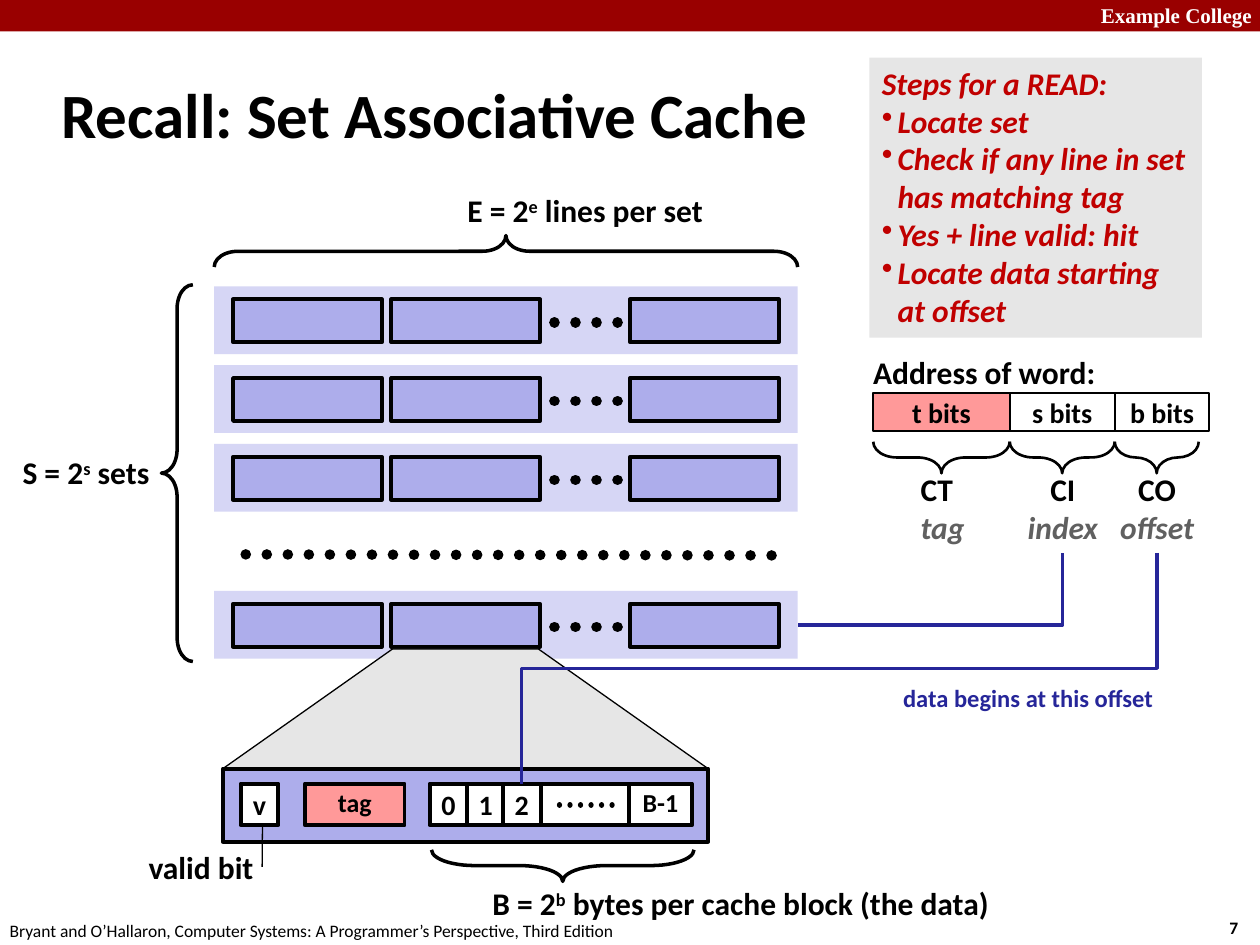
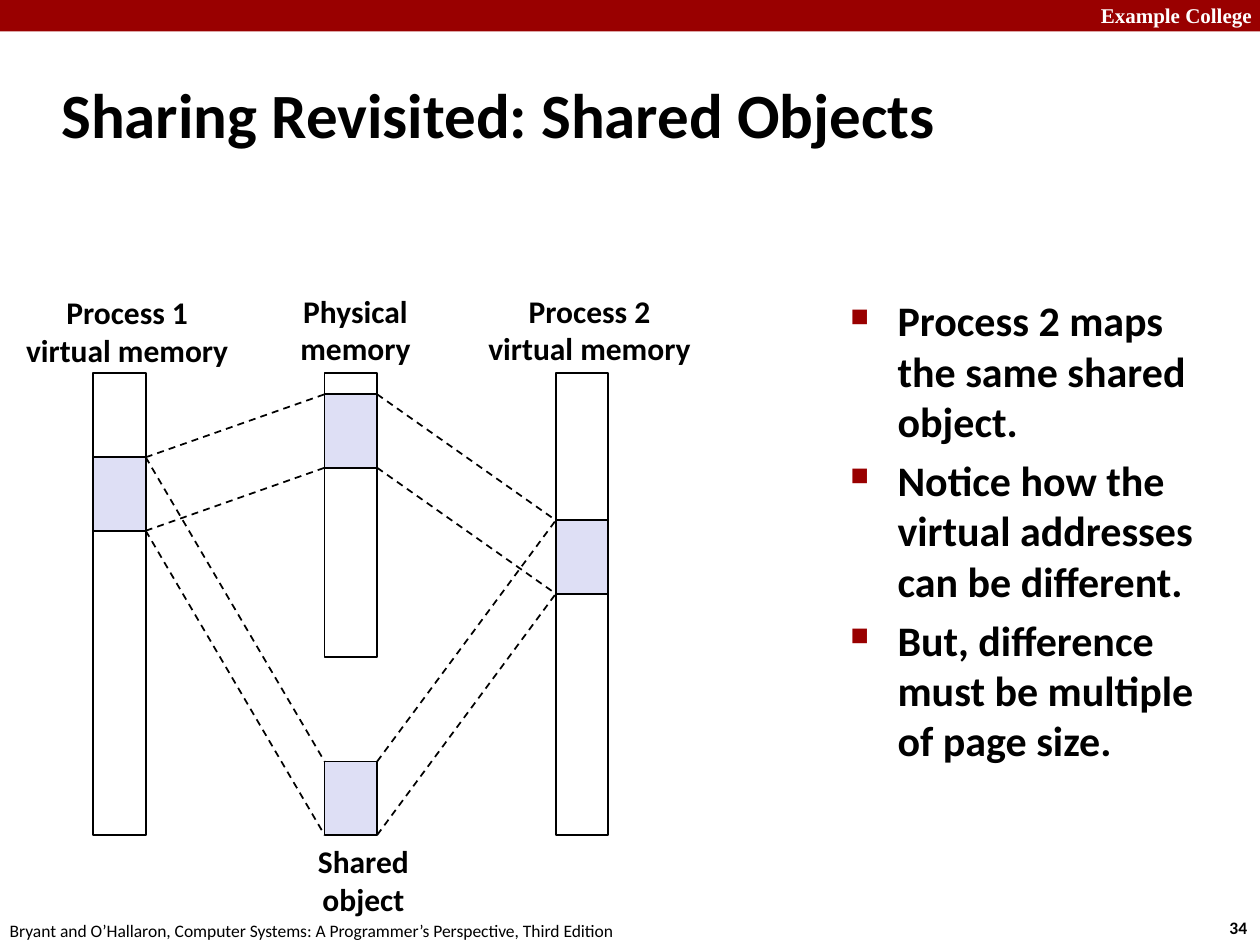
from dataclasses import dataclass
from typing import NamedTuple, Optional

from lxml.etree import SubElement
from pptx import Presentation
from pptx.dml.color import RGBColor
from pptx.enum.dml import MSO_LINE_DASH_STYLE as Dash
from pptx.enum.shapes import MSO_CONNECTOR as Connector, MSO_SHAPE as Preset
from pptx.enum.text import MSO_ANCHOR as Anchor, MSO_AUTO_SIZE as AutoSize, PP_ALIGN as Align
from pptx.oxml.ns import qn
from pptx.util import Pt

BLACK = RGBColor(0x00, 0x00, 0x00)
WHITE = RGBColor(0xFF, 0xFF, 0xFF)
DARK_RED = RGBColor(0x99, 0x00, 0x00)
STEP_RED = RGBColor(0xC0, 0x00, 0x00)
PINK = RGBColor(0xFF, 0x99, 0x99)
PALE_BLUE = RGBColor(0xD6, 0xD6, 0xF5)
LINE_BLUE = RGBColor(0xAD, 0xAD, 0xEB)
PAGE_BLUE = RGBColor(0xDE, 0xDF, 0xF5)
NAVY = RGBColor(0x26, 0x26, 0x99)
LIGHT_GREY = RGBColor(0xE6, 0xE6, 0xE6)
DARK_GREY = RGBColor(0x60, 0x60, 0x60)

FOOTER = "Bryant and O’Hallaron, Computer Systems: A Programmer’s Perspective, Third Edition"


class Area(NamedTuple):
    left: float
    top: float
    width: float
    height: float

    def lengths(self) -> list:
        return [Pt(value) for value in self]


class Point(NamedTuple):
    x: float
    y: float


class Span(NamedTuple):
    text: str
    raised: bool = False
    color: Optional[RGBColor] = None
    italic: Optional[bool] = None


@dataclass(frozen=True)
class Style:
    size: float = 18
    color: RGBColor = BLACK
    bold: bool = True
    italic: bool = False
    font: str = "Calibri"
    align: Align = Align.LEFT
    spacing: Optional[float] = None
    before: float = 0


@dataclass(frozen=True)
class Bullet:
    char: str
    indent: float
    color: RGBColor
    percent: int = 100


@dataclass(frozen=True)
class Field:
    bits: str
    fill: RGBColor
    left: float
    width: float
    brace_width: float
    code: str
    role: str
    label_left: float
    label_width: float
    align: Align = Align.CENTER


@dataclass(frozen=True)
class Cell:
    text: str
    left: float
    width: float
    style: Style
    fill: RGBColor = WHITE


@dataclass(frozen=True)
class Memory:
    label: tuple
    label_area: Area
    left: float
    height: float
    page_top: float


LABEL = Style()
CENTERED = Style(align=Align.CENTER)
BITS = Style(size=16, align=Align.CENTER)
BLOCK_TEXT = Style(size=14.8, align=Align.CENTER, spacing=0.9)

FIELDS = [
    Field("t bits", PINK, 499, 78, 78, "CT", "tag", 519, 39.6, Align.LEFT),
    Field("s bits", WHITE, 577, 60, 60, "CI", "index", 579.6, 55.5),
    Field("b bits", WHITE, 637, 54, 48, "CO", "offset", 632, 58.3),
]
CELLS = [
    Cell("v", 137.5, 21.6, BITS),
    Cell("tag", 174.2, 57, BLOCK_TEXT, PINK),
    Cell("0", 245.5, 21.6, BITS),
    Cell("1", 266.8, 21.6, BITS),
    Cell("2", 287.3, 21.6, BITS),
    Cell("", 309, 50.4, BITS),
    Cell("B-1", 359.4, 36, BLOCK_TEXT),
]
FIRST = Memory(("Process 1", "virtual memory"), Area(7.2, 163.4, 131, 51), 53.3, 264, 261.3)
PHYSICAL = Memory(("Physical", "memory"), Area(164.2, 162.7, 77.8, 51), 185.5, 162, 225.3)
SECOND = Memory(("Process 2", "virtual memory"), Area(271.4, 162.7, 131, 51), 317.6, 264, 297.3)
MEMORY_TOP, MEMORY_WIDTH, PAGE_HEIGHT, OBJECT_TOP = 213.3, 30, 42, 435.2


def add_bullet(para, bullet: Bullet) -> None:
    props = para._p.get_or_add_pPr()
    props.set("marL", str(Pt(bullet.indent)))
    props.set("indent", str(-Pt(bullet.indent)))
    color = SubElement(props, qn("a:buClr"))
    SubElement(color, qn("a:srgbClr")).set("val", str(bullet.color))
    SubElement(props, qn("a:buSzPct")).set("val", str(bullet.percent * 1000))
    SubElement(props, qn("a:buChar")).set("char", bullet.char)


def write(frame, paras, style: Style, bullet: Optional[Bullet] = None, plain_first: bool = False) -> None:
    for index, content in enumerate(paras):
        para = frame.paragraphs[0] if index == 0 else frame.add_paragraph()
        if bullet and not (plain_first and index == 0):
            add_bullet(para, bullet)
        para.alignment = style.align
        para.line_spacing = style.spacing
        para.space_before = Pt(style.before)
        font = para.font
        font.name, font.size = style.font, Pt(style.size)
        font.bold, font.italic = style.bold, style.italic
        font.color.rgb = style.color
        if isinstance(content, str):
            para.text = content
            continue
        for span in content:
            if span.text == "\v":
                para.add_line_break()
                continue
            run = para.add_run()
            run.text = span.text
            run.font.italic = span.italic
            if span.color is not None:
                run.font.color.rgb = span.color
            if span.raised:
                run.font._element.set("baseline", "30000")


def add_text(page, area: Area, paras, style: Style = LABEL, anchor: Anchor = Anchor.TOP,
             wrap: bool = False, grow: bool = True, bullet: Optional[Bullet] = None,
             plain_first: bool = False):
    box = page.shapes.add_textbox(*area.lengths())
    frame = box.text_frame
    frame.word_wrap = wrap
    frame.auto_size = AutoSize.SHAPE_TO_FIT_TEXT if grow else AutoSize.NONE
    frame.vertical_anchor = anchor
    write(frame, paras, style, bullet, plain_first)
    return box


def add_block(page, area: Area, fill: Optional[RGBColor] = None, weight: float = 0,
              text: str = "", style: Style = BITS, preset: Preset = Preset.RECTANGLE, wrap: bool = False):
    shape = page.shapes.add_shape(preset, *area.lengths())
    shape.shadow.inherit = False
    if fill is None:
        shape.fill.background()
    else:
        shape.fill.solid()
        shape.fill.fore_color.rgb = fill
    if weight:
        shape.line.color.rgb = BLACK
        shape.line.width = Pt(weight)
    else:
        shape.line.fill.background()
    if text:
        shape.text_frame.word_wrap = wrap
        shape.text_frame.vertical_anchor = Anchor.MIDDLE
        write(shape.text_frame, [text], style)
    return shape


def add_brace(page, area: Area, rotation: int = 0, weight: float = 2, curve: float = 0.75) -> None:
    left, top, width, height = area
    if rotation:
        area = Area(left + (width - height) / 2, top + (height - width) / 2, height, width)
    brace = add_block(page, area, weight=weight, preset=Preset.LEFT_BRACE)
    brace.adjustments[0] = curve
    brace.rotation = rotation


def add_line(page, begin: Point, end: Point, weight: float, color: RGBColor = BLACK,
             dash: Optional[Dash] = None, kind: Connector = Connector.STRAIGHT):
    line = page.shapes.add_connector(kind, Pt(begin.x), Pt(begin.y), Pt(end.x), Pt(end.y))
    line.line.color.rgb = color
    line.line.width = Pt(weight)
    if dash is not None:
        line.line.dash_style = dash
    SubElement(line.element.spPr, qn("a:effectLst"))
    return line


def add_dots(page, begin: Point, end: Point, weight: float = 6) -> None:
    dots = add_line(page, begin, end, weight, dash=Dash.ROUND_DOT)
    dots.line._ln.set("cap", "rnd")


def add_elbow(page, begin: Point, end: Point, preset: str) -> None:
    middle = Point((begin.x + end.x) / 2, (begin.y + end.y) / 2)
    half_width, half_height = (end.y - begin.y) / 2, (begin.x - end.x) / 2
    elbow = add_line(page, Point(middle.x - half_width, middle.y - half_height),
                     Point(middle.x + half_width, middle.y + half_height), 2, NAVY, kind=Connector.ELBOW)
    properties = elbow.element.spPr
    properties.find(qn("a:xfrm")).set("rot", "5400000")
    properties.find(qn("a:prstGeom")).set("prst", preset)


def power(before: str, exponent: str, after: str) -> list:
    return [[Span(before), Span(exponent, raised=True), Span(after)]]


def start_page(deck, title: str, number: int):
    page = deck.slides.add_slide(deck.slide_layouts[6])
    add_block(page, Area(0, 0, 720, 18), DARK_RED)
    add_text(page, Area(622, -2.2, 103, 21.8), ["Example College"],
             Style(size=12, color=WHITE, font="Times New Roman"), wrap=True)
    add_text(page, Area(695.5, 520.6, 26.6, 19.4), [str(number)], Style(size=10))
    add_text(page, Area(-1.5, 522, 366, 19.4), [FOOTER], Style(size=10, bold=False))
    add_text(page, Area(28, 34.6, 597.6, 59.8), [title], Style(size=36), Anchor.MIDDLE, wrap=True, grow=False)
    return page


def draw_set(page, top: float) -> None:
    add_block(page, Area(122.4, top, 333.4, 38.8), PALE_BLUE)
    for left in (133.2, 223.6, 360):
        add_block(page, Area(left, top + 7.5, 85, 24.5), LINE_BLUE, 2.25)
    add_dots(page, Point(316.8, top + 20.6), Point(360.7, top + 20.6))


def draw_cache_block(page) -> None:
    zoom = add_block(page, Area(127.4, 370.8, 277.2, 68.4), LIGHT_GREY, 0.75, preset=Preset.TRAPEZOID)
    zoom.adjustments[0] = 1.418
    add_block(page, Area(127.4, 439.2, 277.2, 41.8), LINE_BLUE, 2.25)
    for cell in CELLS:
        add_block(page, Area(cell.left, 447.8, cell.width, 23.8), cell.fill, 2.25, cell.text, cell.style)
    add_dots(page, Point(319.7, 460), Point(355.7, 460), 3)
    add_text(page, Area(77.8, 481, 75, 28.8), ["valid bit"])
    add_line(page, Point(149.8, 495.4), Point(150, 471.6), 0.75)
    add_brace(page, Area(246.6, 485.6, 150, 18), 270, curve=1.37)
    add_text(page, Area(274.3, 501.8, 301.7, 28.8), power("B = 2", "b", " bytes per cache block (the data)"))


def draw_address(page) -> None:
    add_text(page, Area(491.8, 198, 142.6, 28.8), ["Address of word:"])
    for field in FIELDS:
        add_block(page, Area(field.left, 224.6, field.width, 21.6), field.fill, 1, field.bits, wrap=True)
        add_brace(page, Area(field.left, 252.4, field.brace_width, 18), 270, 1.5)
        add_text(page, Area(field.label_left, 265, field.label_width, 51),
                 [[Span(field.code), Span("\v"), Span(field.role, color=DARK_GREY, italic=True)]],
                 Style(align=field.align))
    add_elbow(page, Point(607.2, 316), Point(455.8, 357.2), "bentConnector2")
    add_elbow(page, Point(661, 316), Point(298, 447.8), "bentConnector3")
    add_text(page, Area(509, 386.6, 158.4, 24.5), ["data begins at this offset"], Style(size=14, color=NAVY))


def draw_cache_page(deck) -> None:
    page = start_page(deck, "Recall: Set Associative Cache", 7)
    for top in (163.6, 208.6, 253.6, 337.6):
        draw_set(page, top)
    add_dots(page, Point(140.4, 316.8), Point(445.7, 317.4))
    add_brace(page, Area(92.2, 162.7, 18, 215.3))
    add_brace(page, Area(122.4, 134.6, 333.4, 18), 90)
    add_text(page, Area(260, 105.8, 154, 28.8), power("E = 2", "e", " lines per set"))
    add_text(page, Area(5.8, 255.6, 88.6, 28.8), power("S = 2", "s", " sets"))
    draw_cache_block(page)
    draw_address(page)
    steps = ["Steps for a READ:", "Locate set", "Check if any line in set\vhas matching tag",
             "Yes + line valid: hit", "Locate data starting\vat offset"]
    box = add_text(page, Area(496.8, 33, 190, 160), steps, Style(color=STEP_RED, italic=True),
                   bullet=Bullet("•", 9, STEP_RED), plain_first=True)
    box.fill.solid()
    box.fill.fore_color.rgb = LIGHT_GREY


def connect_pages(page, left: Point, right: Point) -> None:
    for offset in (0, PAGE_HEIGHT):
        add_line(page, Point(left.x, left.y + offset), Point(right.x, right.y + offset), 1, dash=Dash.DASH)


def draw_sharing_page(deck) -> None:
    page = start_page(deck, "Sharing Revisited: Shared Objects", 34)
    for memory in (FIRST, PHYSICAL, SECOND):
        add_block(page, Area(memory.left, MEMORY_TOP, MEMORY_WIDTH, memory.height), weight=1)
        add_block(page, Area(memory.left, memory.page_top, MEMORY_WIDTH, PAGE_HEIGHT), PAGE_BLUE, 1)
        add_text(page, memory.label_area, memory.label, CENTERED, Anchor.MIDDLE)
    add_block(page, Area(PHYSICAL.left, OBJECT_TOP, MEMORY_WIDTH, PAGE_HEIGHT), PAGE_BLUE, 1)
    add_text(page, Area(174.2, 477.4, 67, 51), ["Shared", "object"], CENTERED, Anchor.MIDDLE)
    for top in (PHYSICAL.page_top, OBJECT_TOP):
        connect_pages(page, Point(FIRST.left + MEMORY_WIDTH, FIRST.page_top), Point(PHYSICAL.left, top))
        connect_pages(page, Point(PHYSICAL.left + MEMORY_WIDTH, top), Point(SECOND.left, SECOND.page_top))
    notes = ["Process 2 maps the same shared object.", "Notice how the virtual addresses can be different.",
             "But, difference must be multiple of page size."]
    add_text(page, Area(478.8, 165, 221.8, 363), notes, Style(size=24, before=4.8), wrap=True, grow=False,
             bullet=Bullet("■", 27, DARK_RED, 60))


def main() -> None:
    deck = Presentation()
    deck.slide_width, deck.slide_height = Pt(720), Pt(540)
    draw_cache_page(deck)
    draw_sharing_page(deck)
    deck.save("out.pptx")


if __name__ == "__main__":
    main()
